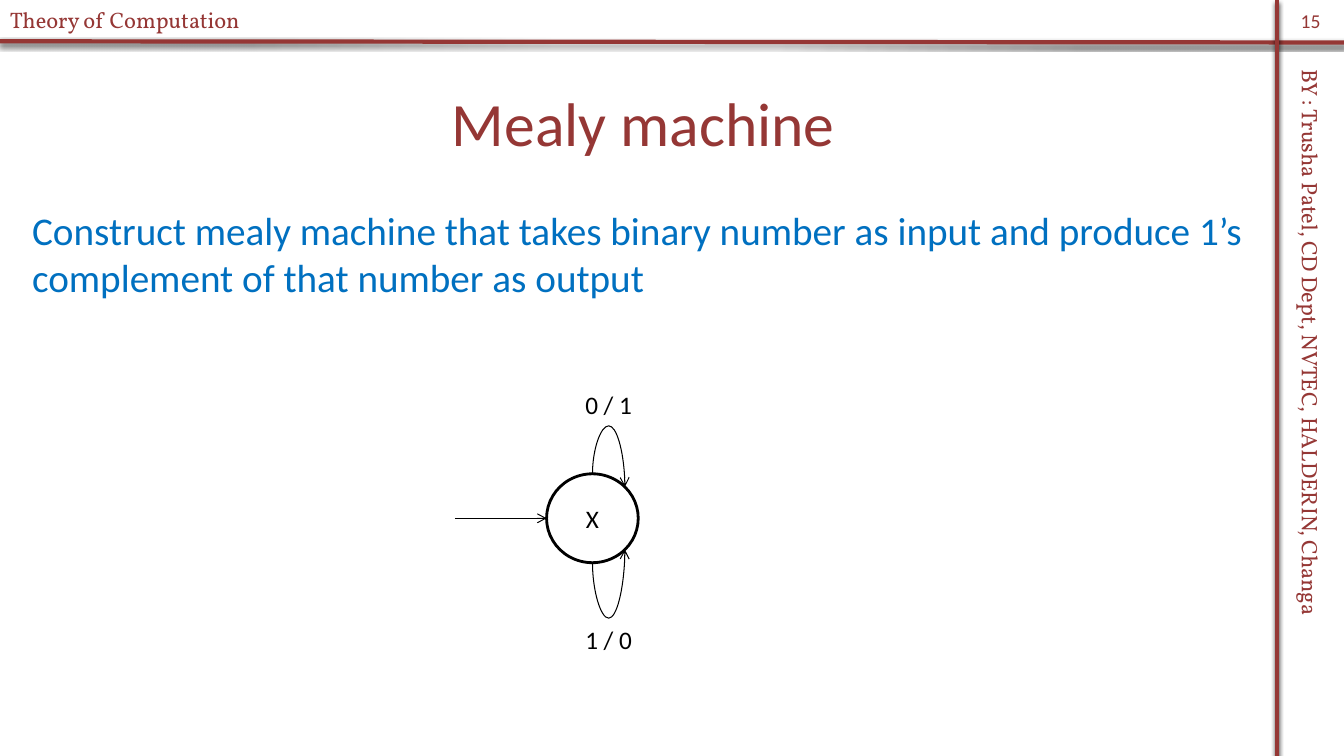
import math

import pptx
import pptx.dml.color
import pptx.enum.shapes
import pptx.enum.text
import pptx.oxml
import pptx.util
from pptx.util import Cm

WIDTH, HEIGHT = 33.87, 19.05
MAROON, BLUE, BLACK, WHITE = "953735", "0070C0", "000000", "FFFFFF"
NAMESPACE = 'xmlns:a="http://schemas.openxmlformats.org/drawingml/2006/main"'

HEADER = {"size": 16, "name": "Vollkorn", "color": MAROON}
TITLE = {"size": 44, "name": "Calibri", "color": MAROON}
BODY = {"size": 28, "name": "Calibri", "color": BLUE}
NUMBER = {"size": 14, "name": "Calibri", "color": MAROON}
LABEL = {"size": 18, "name": "Calibri", "color": BLACK}

# text, (left, top, width, height) in cm, font, alignment, anchor, rotation
TEXTS = [
    ("BY : Trusha Patel, CD Dept, NVTEC, HALDERIN, Changa",
     (24.87, 9.19, 16.31, 0.94), HEADER, "LEFT", "TOP", 90),
    ("Theory of Computation", (0, 0.03, 8.36, 0.94), HEADER, "LEFT", "TOP", 0),
    ("Mealy machine", (0.56, 1.47, 31.32, 3.18), TITLE, "CENTER", "MIDDLE", 0),
    ("Construct mealy machine that takes binary number as input and produce "
     "1’s complement of that number as output",
     (0.56, 5.08, 31.32, 13.34), BODY, "LEFT", "TOP", 0),
    ("15", (32.18, 0, 1.7, 1.02), NUMBER, "CENTER", "MIDDLE", 0),
]
FRAME = [((0, 1.04), (WIDTH, 1.07)), ((32.18, 0), (32.18, HEIGHT))]

STATE = "X"
CENTER_X, CENTER_Y = 14.93, 13.06
RADIUS_X, RADIUS_Y = 1.155, 1.12
ENTRY_LENGTH = 2.31
# label, label top, side (-1 above, 1 below), reach of the loop, rotation
LOOPS = [("0 / 1", 9.68, -1, 1.21, 270), ("1 / 0", 15.6, 1, 1.4, 90)]
LABEL_SIZE = (1.7, 1.02)


def rgb(value):
    return pptx.dml.color.RGBColor.from_string(value)


def write(shape, text, font, align, anchor, wrap=True):
    frame = shape.text_frame
    frame.word_wrap = wrap
    frame.vertical_anchor = getattr(pptx.enum.text.MSO_ANCHOR, anchor)
    para = frame.paragraphs[0]
    para.alignment = getattr(pptx.enum.text.PP_ALIGN, align)
    span = para.add_run()
    span.text = text
    for key, value in font.items():
        if key == "color":
            span.font.color.rgb = rgb(value)
        else:
            setattr(span.font, key, pptx.util.Pt(value) if key == "size" else value)


def add_text(page, text, place, font, align, anchor, rotation=0, wrap=True):
    box = page.shapes.add_textbox(*map(Cm, place))
    box.rotation = rotation
    write(box, text, font, align, anchor, wrap)


def add_line(page, start, end, color, weight, kind="STRAIGHT", arrow=False, shadow=""):
    connector = page.shapes.add_connector(
        getattr(pptx.enum.shapes.MSO_CONNECTOR, kind), *map(Cm, start + end))
    connector.line.color.rgb = rgb(color)
    connector.line.width = pptx.util.Pt(weight)
    if arrow:
        connector.line._get_or_add_ln().append(
            pptx.oxml.parse_xml(f'<a:tailEnd {NAMESPACE} type="arrow"/>'))
    connector._element.spPr.append(
        pptx.oxml.parse_xml(f"<a:effectLst {NAMESPACE}>{shadow}</a:effectLst>"))
    return connector


def add_loop(page, start, end, reach, rotation):
    """Draw a curved connector turned a quarter so that it bulges by reach."""
    middle_x, middle_y = (start[0] + end[0]) / 2, (start[1] + end[1]) / 2
    across, rise = end[0] - start[0], abs(end[1] - start[1])
    side = 1 if rotation == 90 else -1
    curve = add_line(page,
                     (middle_x + rise / 2, middle_y + side * across / 2),
                     (middle_x - rise / 2, middle_y - side * across / 2),
                     BLACK, 0.75, "CURVE", arrow=True)
    properties = curve._element.spPr
    properties.xfrm.set("rot", str(rotation * 60000))
    geometry = properties.prstGeom
    for old in list(geometry):
        geometry.remove(old)
    bulge = round(-reach / rise * 100000)
    geometry.append(pptx.oxml.parse_xml(
        f'<a:avLst {NAMESPACE}><a:gd name="adj1" fmla="val {bulge}"/></a:avLst>'))


def add_state(page):
    circle = page.shapes.add_shape(
        pptx.enum.shapes.MSO_SHAPE.OVAL,
        Cm(CENTER_X - RADIUS_X), Cm(CENTER_Y - RADIUS_Y), Cm(2 * RADIUS_X), Cm(2 * RADIUS_Y))
    circle.shadow.inherit = False
    circle.fill.solid()
    circle.fill.fore_color.rgb = rgb(WHITE)
    circle.line.color.rgb = rgb(BLACK)
    circle.line.width = pptx.util.Pt(2)
    write(circle, STATE, LABEL, "CENTER", "MIDDLE")


def main():
    deck = pptx.Presentation()
    deck.slide_width, deck.slide_height = Cm(WIDTH), Cm(HEIGHT)
    page = deck.slides.add_slide(deck.slide_layouts[6])

    shadow = ('<a:outerShdw blurRad="39400" dist="22900" dir="5400000" rotWithShape="0">'
              '<a:srgbClr val="000000"><a:alpha val="72000"/></a:srgbClr></a:outerShdw>')
    for start, end in FRAME:
        add_line(page, start, end, MAROON, 3, shadow=shadow)
    for text in TEXTS:
        add_text(page, *text)

    add_state(page)
    edge = CENTER_X - RADIUS_X
    add_line(page, (edge - ENTRY_LENGTH, CENTER_Y), (edge, CENTER_Y), BLACK, 0.75, arrow=True)

    diagonal = math.sqrt(0.5)
    loop_end_x = CENTER_X + RADIUS_X * diagonal
    label_left = (CENTER_X + loop_end_x - LABEL_SIZE[0]) / 2
    for label, top, side, reach, rotation in LOOPS:
        start = (CENTER_X, CENTER_Y + side * RADIUS_Y)
        end = (loop_end_x, CENTER_Y + side * RADIUS_Y * diagonal)
        add_loop(page, start, end, reach, rotation)
        add_text(page, label, (label_left, top) + LABEL_SIZE, LABEL,
                 "CENTER", "TOP", wrap=False)

    deck.save("out.pptx")


if __name__ == "__main__":
    main()
